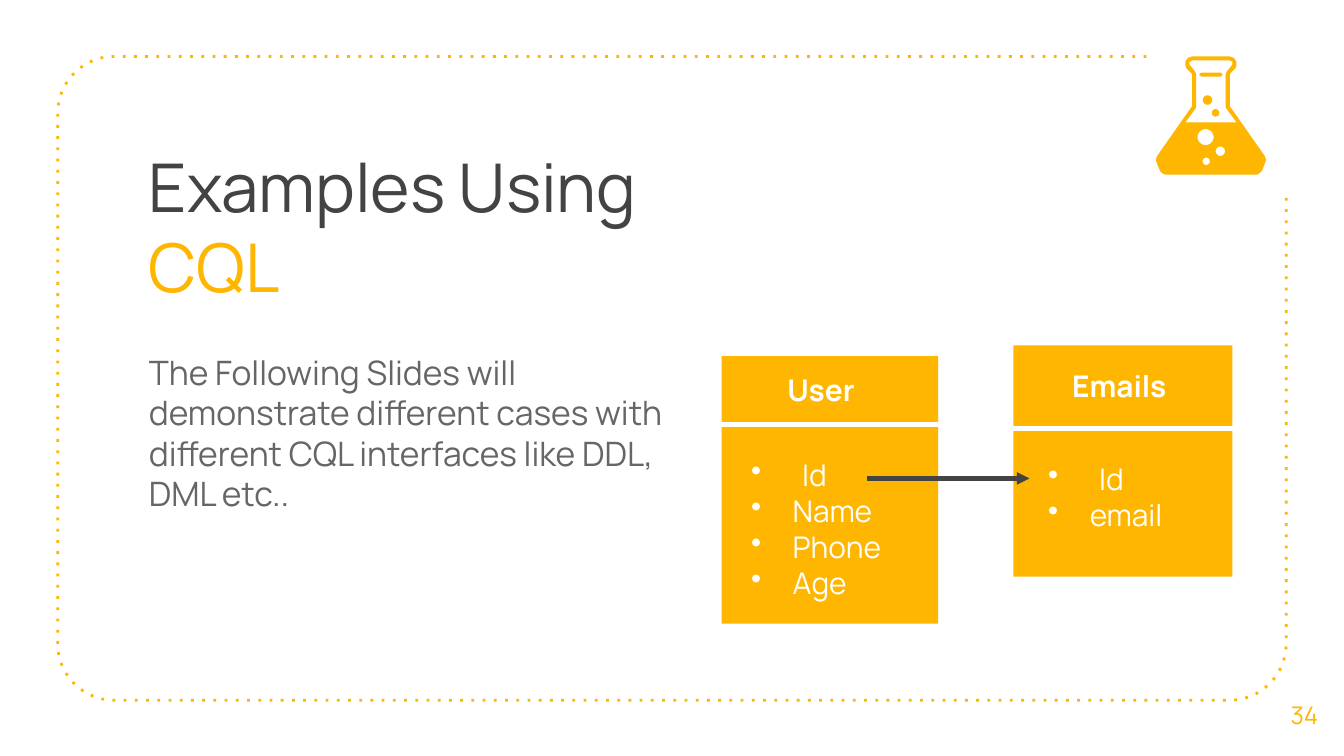
from math import cos, pi, sin

from lxml.etree import SubElement
from pptx import Presentation
from pptx.dml.color import RGBColor
from pptx.enum.shapes import MSO_CONNECTOR, MSO_SHAPE
from pptx.enum.text import MSO_ANCHOR, PP_ALIGN
from pptx.oxml.ns import qn
from pptx.util import Inches, Pt

AMBER = RGBColor(0xFF, 0xB6, 0x00)
DARK = RGBColor(0x43, 0x43, 0x43)
GREY = RGBColor(0x66, 0x66, 0x66)
WHITE = RGBColor(0xFF, 0xFF, 0xFF)
FONT = "Manrope"
COLS, ROWS = 100, 56.25  # square grid cells


def cell(n):
    """Length of n grid cells."""
    return Inches(n / 10)


def style(run, size, color, bold=False):
    run.font.name = FONT
    run.font.size = Pt(size)
    run.font.color.rgb = color
    run.font.bold = bold


def text(shapes, box, lines, size, color, bold=False, inset=0.5):
    """Text box with one paragraph for each line."""
    frame = shapes.add_textbox(*map(cell, box)).text_frame
    frame.word_wrap = True
    frame.margin_top = frame.margin_bottom = cell(inset)
    frame.text = "\n".join(lines)
    for para in frame.paragraphs:
        for run in para.runs:
            style(run, size, color, bold)
    return frame


def bullet(para, indent):
    props = para._p.get_or_add_pPr()
    props.set("marL", str(cell(indent)))
    props.set("indent", str(-cell(indent)))
    tint = SubElement(props, qn("a:buClr"))
    SubElement(tint, qn("a:srgbClr"), val=str(WHITE))
    SubElement(props, qn("a:buChar"), char="•")


def line(shapes, left, right, y, color, width):
    link = shapes.add_connector(
        MSO_CONNECTOR.STRAIGHT, cell(left), cell(y), cell(right), cell(y))
    link.line.color.rgb = color
    link.line.width = Pt(width)
    SubElement(link.element.spPr, qn("a:effectLst"))
    return link


def arc(x, y, radius, start, end, steps):
    """Points on a circle, angles in quarter turns."""
    turns = [(start + (end - start) * i / steps) * pi / 2
             for i in range(steps + 1)]
    return [(x + radius * cos(t), y + radius * sin(t)) for t in turns]


def outline(shapes, rings, close=True):
    """Freeform through rings of grid points."""
    rings = [[(cell(x), cell(y)) for x, y in ring] for ring in rings]
    pen = shapes.build_freeform(*rings[0][0], scale=1.0)
    for i, ring in enumerate(rings):
        if i:
            pen.move_to(*ring[0])
        pen.add_line_segments(ring[1:], close=close)
    form = pen.convert_to_shape()
    form.shadow.inherit = False
    return form


def border(shapes, box, radius, gap):
    """Dotted frame, open at the top right corner."""
    left, top, wide, high = box
    right, low = left + wide, top + high
    x, y = left + radius, low - radius
    points = [(right - gap, top)]
    points += arc(x, top + radius, radius, 3, 2, 16)
    points += arc(x, y, radius, 2, 1, 16)
    points += arc(right - radius, y, radius, 1, 0, 16)
    points.append((right, top + gap))
    form = outline(shapes, [points], close=False)
    form.fill.background()
    form.line.color.rgb = AMBER
    form.line.width = Pt(1.5)
    stroke = form.element.spPr.find(qn("a:ln"))
    SubElement(stroke, qn("a:prstDash"), val="dot")


def flask(shapes, box):
    """Symmetric flask with a window, bubbles and a level mark."""
    left, top, wide, high = box
    mid = left + wide / 2
    unit = high / 88

    def spot(x, y):
        return mid + x * unit, top + y * unit

    def mirror(half):
        both = half + [(-x, y) for x, y in reversed(half)]
        return [spot(x, y) for x, y in both]

    def ball(x, y, radius):
        return arc(*spot(x, y), radius * unit, 0, 4, 24)

    body = [(14, 0), (17, 1), (19, 4), (19, 7), (18, 9), (14, 13), (14, 37),
            (40, 74), (41, 77), (40, 80), (38, 85), (36, 87), (34, 88)]
    glass = [(14, 3), (16, 4), (16, 6), (12, 11), (11, 13), (11, 38), (19, 49)]
    mark = [(7, 12), (8.5, 13), (8.5, 14), (7, 15)]
    holes = [ball(-4, 60, 6), ball(7, 70.5, 3.5), ball(-3.5, 78, 2.75)]
    group = shapes.add_group_shape().shapes
    for rings in ([mirror(body), mirror(glass)] + holes, [ball(3.5, 42, 2.75)],
                  [mirror(mark)], [ball(-2.5, 32.5, 3.5)]):
        form = outline(group, rings)
        form.fill.solid()
        form.fill.fore_color.rgb = AMBER
        form.line.fill.background()


def card(shapes, box, name, head, rule, fields, items):
    """Table card: heading, dividing rule and bulleted fields."""
    group = shapes.add_group_shape().shapes
    panel = group.add_shape(MSO_SHAPE.RECTANGLE, *map(cell, box))
    panel.shadow.inherit = False
    panel.fill.solid()
    panel.fill.fore_color.rgb = AMBER
    panel.line.fill.background()
    line(group, *rule, WHITE, 3)
    left, top = box[:2]
    x, y, wide, high = head
    text(group, (left + x, top + y, wide, high), [name], 16, WHITE, True)
    x, y, wide, high = fields
    frame = text(group, (left + x, top + y, wide, high), items, 16, WHITE)
    for i, para in enumerate(frame.paragraphs):
        bullet(para, 3.1 if i else 3.8)


def intro(shapes, box):
    """Title in two colours above the body text."""
    left, top, wide, high = box
    title = text(shapes, (left, top, wide, 14.1), ["Examples Using "],
                 36, DARK, inset=1)
    run = title.paragraphs[0].add_run()
    run.text = "CQL"
    style(run, 36, AMBER)
    body = text(shapes, (left, top + 15.4, wide, high - 15.4), [
        "The Following Slides will demonstrate different cases with "
        "different CQL interfaces like DDL, DML etc.."], 18, GREY, inset=1)
    body.paragraphs[0].space_before = Pt(6)


def number(shapes, box):
    frame = text(shapes, box, ["34"], 13, AMBER, inset=1)
    frame.vertical_anchor = MSO_ANCHOR.MIDDLE
    frame.paragraphs[0].alignment = PP_ALIGN.CENTER


def main():
    deck = Presentation()
    deck.slide_width, deck.slide_height = cell(COLS), cell(ROWS)
    shapes = deck.slides.add_slide(deck.slide_layouts[6]).shapes
    border(shapes, (4.3, 4.2, 91.4, 47.9), 4.2, 10.4)
    intro(shapes, (10.1, 9.8, 42.3, 33.1))
    number(shapes, (94.1, 50.2, 5.9, 6))

    # Linked tables
    card(shapes, (53.7, 26.5, 16.1, 19.9), "User", (3.9, 0.7, 8, 3.7),
         (53.5, 69.8, 31.6), (1.2, 7, 13.7, 12),
         ["Id", "Name", "Phone", "Age"])
    card(shapes, (75.4, 25.7, 16.3, 17.2), "Emails", (3.4, 1.2, 9.4, 3.7),
         (74.3, 94.1, 31.9), (1.6, 8.1, 13.1, 9.1), ["Id", "email"])
    arrow = line(shapes, 64.5, 76.6, 35.6, DARK, 2.25)
    stroke = arrow.element.spPr.find(qn("a:ln"))
    SubElement(stroke, qn("a:tailEnd"), type="triangle")

    flask(shapes, (86, 4.2, 8.2, 8.8))
    deck.save("out.pptx")


if __name__ == "__main__":
    main()
